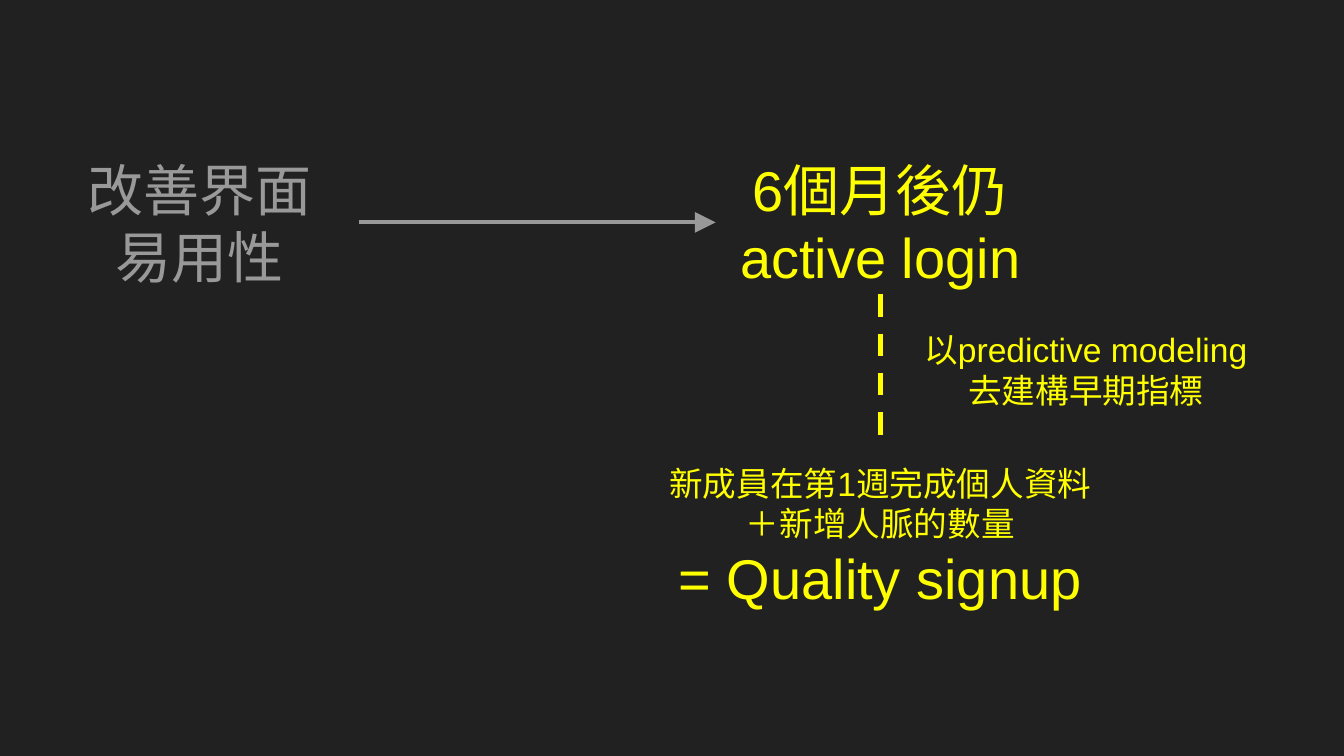
import dataclasses
from typing import Optional

import pptx
import pptx.dml.color
import pptx.enum.dml
import pptx.enum.shapes
import pptx.enum.text
import pptx.oxml.ns
import pptx.shapes.autoshape
import pptx.slide
import pptx.util
from lxml import etree

EMU_PER_PX = 4572
TOP, LEFT, BOTTOM, RIGHT = range(4)


@dataclasses.dataclass(frozen=True)
class Theme:
    font: str = "Arial"
    background: str = "212121"
    muted: str = "999999"
    accent: str = "FFFF00"
    large: int = 30
    small: int = 18


THEME = Theme()


@dataclasses.dataclass(frozen=True)
class Line:
    text: str
    size: int


@dataclasses.dataclass(frozen=True)
class Block:
    left: int
    top: int
    width: int
    height: int
    color: str
    lines: tuple[Line, ...]


@dataclasses.dataclass(frozen=True)
class Link:
    start_side: int
    end_side: int
    color: str
    width: float
    dash: Optional[pptx.enum.dml.MSO_LINE] = None
    arrow: bool = False


IMPROVEMENT = Block(60, 256, 474, 150, THEME.muted, (
    Line("改善界面", THEME.large),
    Line("易用性", THEME.large),
))
ACTIVE_LOGIN = Block(1065, 224, 490, 214, THEME.accent, (
    Line("6個月後仍active login", THEME.large),
))
QUALITY_SIGNUP = Block(952, 648, 716, 302, THEME.accent, (
    Line("新成員在第1週完成個人資料 ＋新增人脈的數量", THEME.small),
    Line("= Quality signup", THEME.large),
))
MODELING = Block(1323, 477, 586, 146, THEME.accent, (
    Line("以predictive modeling", THEME.small),
    Line("去建構早期指標", THEME.small),
))
EFFECT = Link(RIGHT, LEFT, THEME.muted, 2.25, arrow=True)
PREDICTION = Link(BOTTOM, TOP, THEME.accent, 3, dash=pptx.enum.dml.MSO_LINE.DASH)


def px(length: int) -> pptx.util.Emu:
    return pptx.util.Emu(length * EMU_PER_PX)


def rgb(color: str) -> pptx.dml.color.RGBColor:
    return pptx.dml.color.RGBColor.from_string(color)


def draw_block(slide: pptx.slide.Slide, block: Block) -> pptx.shapes.autoshape.Shape:
    box = slide.shapes.add_textbox(
        px(block.left), px(block.top), px(block.width), px(block.height)
    )
    frame = box.text_frame
    frame.word_wrap = True
    frame.vertical_anchor = pptx.enum.text.MSO_ANCHOR.MIDDLE
    frame.margin_left = frame.margin_right = px(20)
    frame.margin_top = frame.margin_bottom = px(20)
    for index, line in enumerate(block.lines):
        paragraph = frame.add_paragraph() if index else frame.paragraphs[0]
        paragraph.text = line.text
        paragraph.alignment = pptx.enum.text.PP_ALIGN.CENTER
        paragraph.font.name = THEME.font
        paragraph.font.size = pptx.util.Pt(line.size)
        paragraph.font.color.rgb = rgb(block.color)
    return box


def draw_link(
    slide: pptx.slide.Slide,
    start: pptx.shapes.autoshape.Shape,
    end: pptx.shapes.autoshape.Shape,
    link: Link,
) -> None:
    connector = slide.shapes.add_connector(
        pptx.enum.shapes.MSO_CONNECTOR.STRAIGHT, 0, 0, 0, 0
    )
    connector.begin_connect(start, link.start_side)
    connector.end_connect(end, link.end_side)
    connector.line.color.rgb = rgb(link.color)
    connector.line.width = pptx.util.Pt(link.width)
    if link.dash is not None:
        connector.line.dash_style = link.dash
    properties = connector.line._get_or_add_ln()
    if link.arrow:
        etree.SubElement(
            properties, pptx.oxml.ns.qn("a:tailEnd"), type="triangle", w="lg", len="lg"
        )
    etree.SubElement(properties.getparent(), pptx.oxml.ns.qn("a:effectLst"))


def main() -> None:
    deck = pptx.Presentation()
    deck.slide_width, deck.slide_height = px(2000), px(1125)
    slide = deck.slides.add_slide(deck.slide_layouts[6])
    slide.background.fill.solid()
    slide.background.fill.fore_color.rgb = rgb(THEME.background)

    improvement = draw_block(slide, IMPROVEMENT)
    active_login = draw_block(slide, ACTIVE_LOGIN)
    draw_link(slide, improvement, active_login, EFFECT)
    quality_signup = draw_block(slide, QUALITY_SIGNUP)
    draw_link(slide, active_login, quality_signup, PREDICTION)
    draw_block(slide, MODELING)

    deck.save("out.pptx")


if __name__ == "__main__":
    main()
